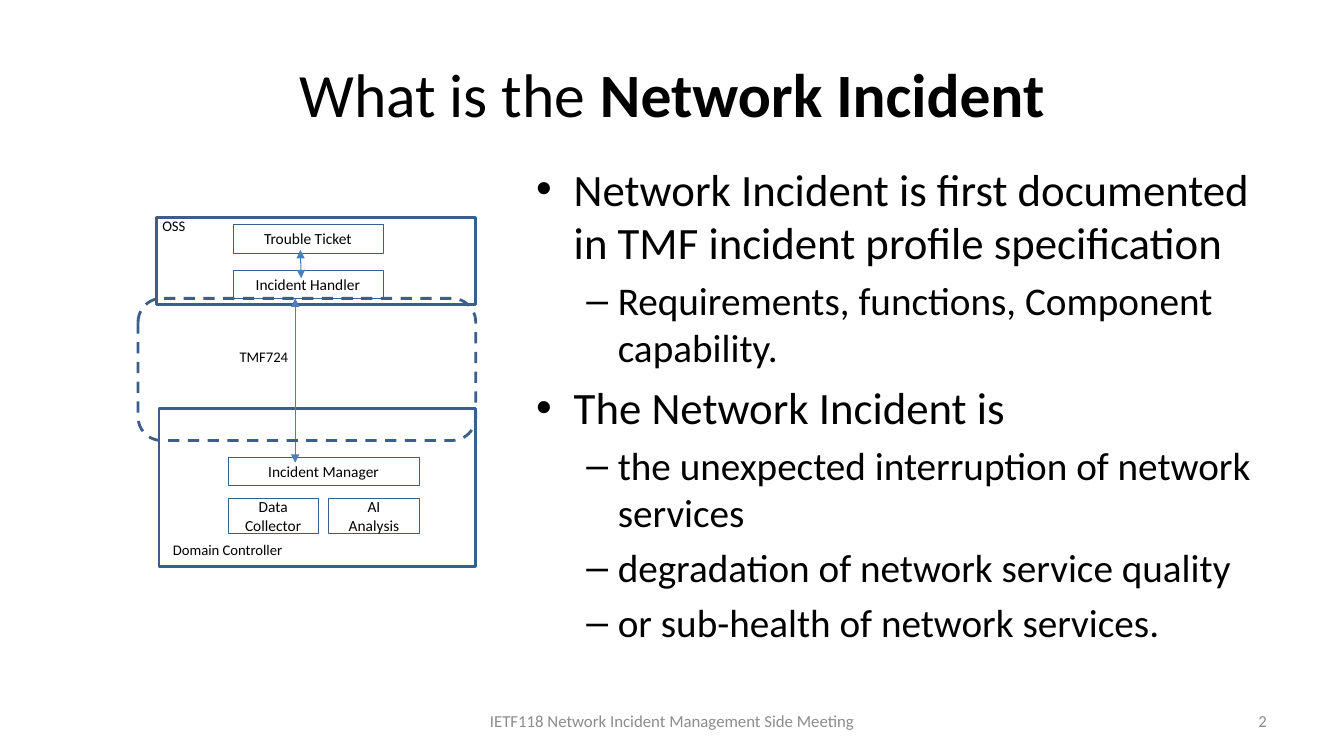
from dataclasses import dataclass

from lxml import etree
from pptx import Presentation
from pptx import util as u
from pptx.dml.color import RGBColor
from pptx.enum import dml, shapes, text
from pptx.oxml.ns import qn


@dataclass(frozen=True)
class Theme:
    font: str = "Calibri"
    ink: str = "000000"
    muted: str = "8C8C8C"
    outline: str = "3A5F8C"
    arrow: str = "4B7EBC"
    title: float = 44
    levels: tuple = (32, 28)
    footer: float = 12
    box: float = 11
    label: float = 10.5
    frame_line: float = 2
    box_line: float = 0.25
    arrow_line: float = 0.75


# Bullet, left margin and hanging indent (cm) per outline level
BULLETS = (("•", 0.95, 0.95), ("–", 2.06, 0.79))
LEFT, CENTER, RIGHT = text.PP_ALIGN.LEFT, text.PP_ALIGN.CENTER, text.PP_ALIGN.RIGHT


class SlideBuilder:
    def __init__(self, prs, theme):
        self.theme = theme
        self.slide = prs.slides.add_slide(prs.slide_layouts[5])

    def style(self, p, size, color=None, align=LEFT):
        p.alignment = align
        for r in p.runs:
            r.font.name = self.theme.font
            r.font.size = u.Pt(size)
            r.font.color.rgb = RGBColor.from_string(color or self.theme.ink)

    def title(self, plain, bold, *box):
        sp = self.slide.shapes.title
        sp.left, sp.top, sp.width, sp.height = map(u.Cm, box)
        tf = sp.text_frame
        tf.vertical_anchor = text.MSO_ANCHOR.MIDDLE
        p = tf.paragraphs[0]
        p.text = plain
        r = p.add_run()
        r.text = bold
        r.font.bold = True
        self.style(p, self.theme.title, align=CENTER)

    def textbox(self, *box):
        tf = self.slide.shapes.add_textbox(*map(u.Cm, box)).text_frame
        tf.word_wrap = True
        return tf

    def outline(self, items, *box):
        tf = self.textbox(*box)
        tf.text = "\n".join(line for _, line in items)
        for p, (level, _) in zip(tf.paragraphs, items):
            char, margin, hang = BULLETS[level]
            size = self.theme.levels[level]
            p.level = level
            p.space_before = u.Pt(size * 0.2)
            self.style(p, size)
            pPr = p._p.get_or_add_pPr()
            pPr.set("marL", str(u.Cm(margin)))
            pPr.set("indent", str(-u.Cm(hang)))
            etree.SubElement(pPr, qn("a:buFont"), typeface="Arial")
            etree.SubElement(pPr, qn("a:buChar"), char=char)

    def footer(self, words, align, *box):
        tf = self.textbox(*box)
        tf.vertical_anchor = text.MSO_ANCHOR.MIDDLE
        tf.text = words
        self.style(tf.paragraphs[0], self.theme.footer, self.theme.muted, align)

    def label(self, words, *box):
        tf = self.textbox(*box)
        tf.word_wrap = False
        tf.auto_size = text.MSO_AUTO_SIZE.SHAPE_TO_FIT_TEXT
        tf.text = words
        self.style(tf.paragraphs[0], self.theme.label)

    def frame(self, *box, weight=None, kind=shapes.MSO_SHAPE.RECTANGLE):
        sp = self.slide.shapes.add_shape(kind, *map(u.Cm, box))
        sp.shadow.inherit = False
        sp.fill.background()
        sp.line.color.rgb = RGBColor.from_string(self.theme.outline)
        sp.line.width = u.Pt(weight or self.theme.frame_line)
        return sp

    def dashed_frame(self, *box):
        sp = self.frame(*box, kind=shapes.MSO_SHAPE.ROUNDED_RECTANGLE)
        sp.line.dash_style = dml.MSO_LINE.DASH

    def box(self, words, *box):
        tf = self.frame(*box, weight=self.theme.box_line).text_frame
        tf.word_wrap = True
        tf.vertical_anchor = text.MSO_ANCHOR.MIDDLE
        tf.text = words
        for p in tf.paragraphs:
            self.style(p, self.theme.box, align=CENTER)

    def double_arrow(self, *ends):
        line = self.slide.shapes.add_connector(
            shapes.MSO_CONNECTOR.STRAIGHT, *map(u.Cm, ends))
        line.line.color.rgb = RGBColor.from_string(self.theme.arrow)
        line.line.width = u.Pt(self.theme.arrow_line)
        ln = line.line._get_or_add_ln()
        for end in ("a:headEnd", "a:tailEnd"):
            etree.SubElement(ln, qn(end), type="triangle")
        etree.SubElement(line._element.spPr, qn("a:effectLst"))


def main():
    prs = Presentation()
    prs.slide_width, prs.slide_height = u.Cm(33.87), u.Cm(19.05)
    s = SlideBuilder(prs, Theme())

    # Title and outline
    s.title("What is the ", "Network Incident", 1.7, 0.76, 30.48, 3.18)
    s.outline([
        (0, "Network Incident is first documented in TMF incident profile specification"),
        (1, "Requirements, functions, Component capability."),
        (0, "The Network Incident is"),
        (1, "the unexpected interruption of network services"),
        (1, "degradation of network service quality"),
        (1, "or sub-health of network services."),
    ], 13.26, 3.94, 18.69, 12.57)

    # Footer and page number
    s.footer("IETF118 Network Incident Management Side Meeting", CENTER,
             11.58, 17.65, 10.72, 1.02)
    s.footer("2", RIGHT, 24.28, 17.65, 7.9, 1.02)

    # System frames
    s.frame(4.01, 10.29, 7.98, 3.99)
    s.label("Domain Controller", 4.11, 13.51, 3.3, 0.71)
    s.frame(3.94, 5.49, 8.05, 2.18)
    s.label("OSS", 3.84, 5.33, 1.12, 0.71)

    # Components
    for words, *box in (
        ("Incident Handler", 5.87, 6.81, 3.78, 0.71),
        ("Trouble Ticket", 5.87, 5.66, 3.78, 0.71),
        ("Incident Manager", 5.74, 11.53, 4.83, 0.71),
        ("Data Collector", 5.74, 12.55, 2.29, 0.89),
        ("AI\nAnalysis", 8.28, 12.55, 2.29, 0.89),
    ):
        s.box(words, *box)

    # Interface between the systems
    s.label("TMF724", 5.79, 8.64, 1.75, 0.71)
    s.double_arrow(7.44, 11.66, 7.44, 7.52)
    s.double_arrow(7.59, 7.01, 7.57, 6.3)
    s.dashed_frame(3.48, 7.52, 8.51, 3.58)

    prs.save("out.pptx")


if __name__ == "__main__":
    main()
